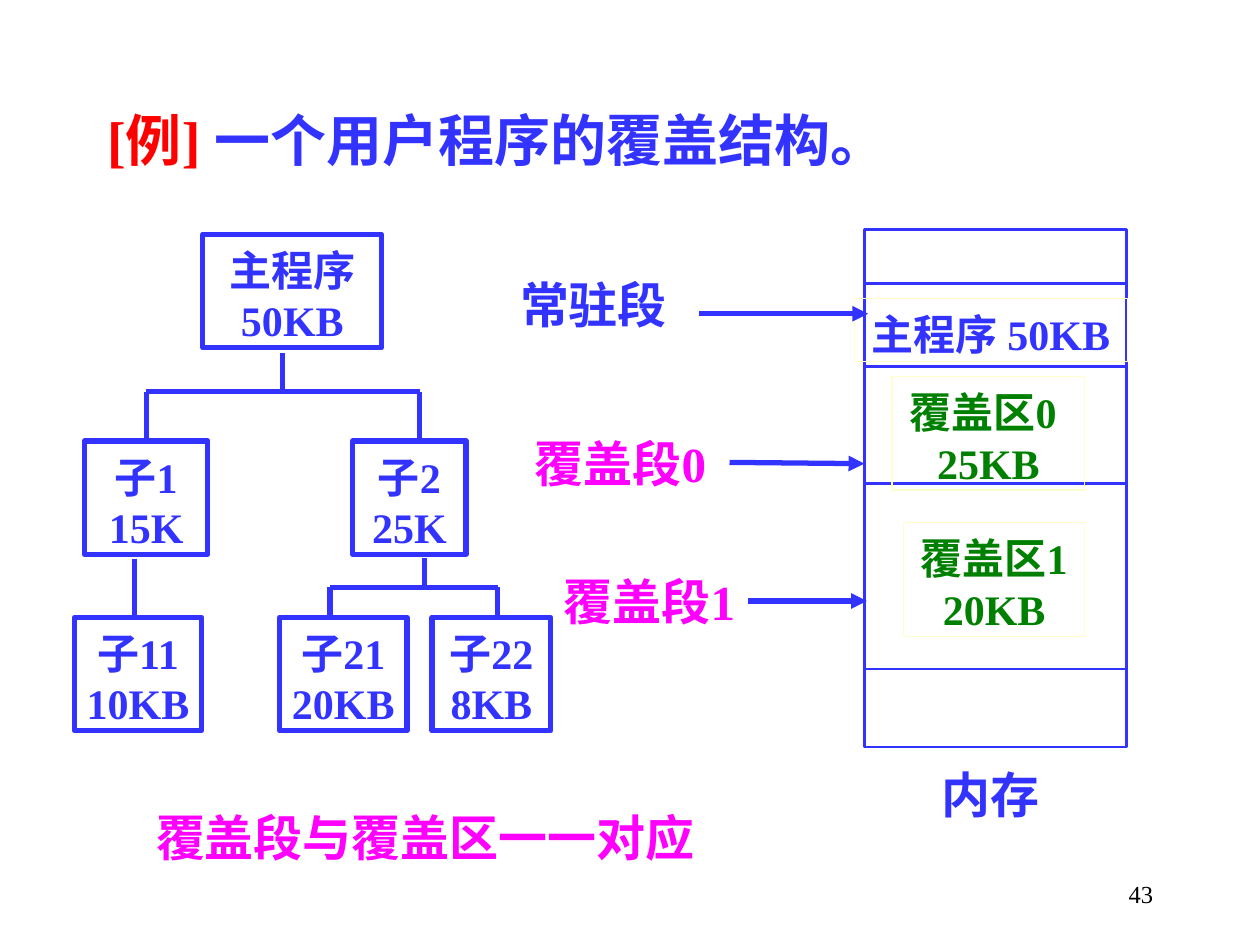
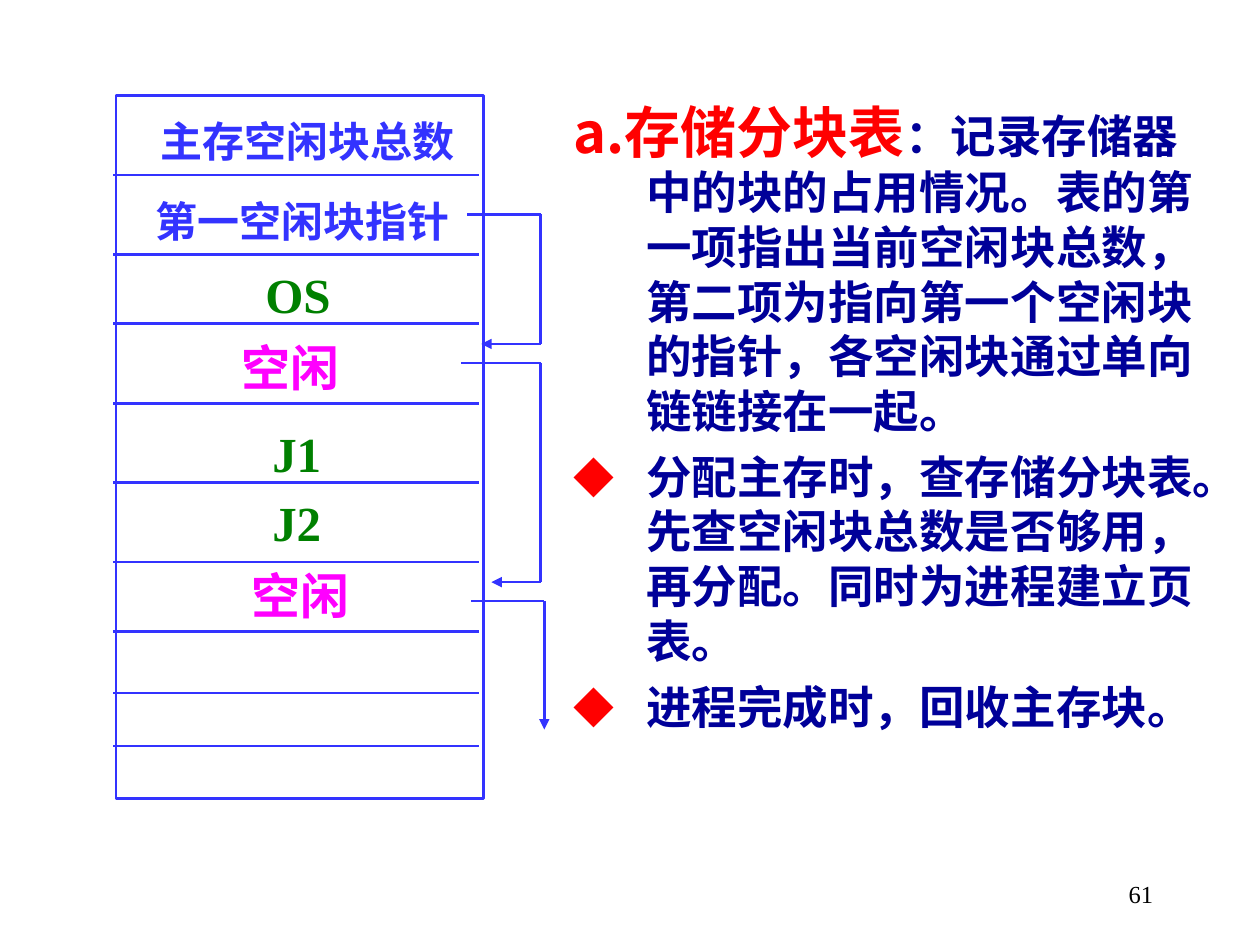
import pptx
import pptx.util
import pptx.dml.color
import pptx.enum.shapes
import pptx.enum.text
import pptx.oxml.ns
from lxml import etree

Inches, Pt = pptx.util.Inches, pptx.util.Pt
ALIGN, ANCHOR = pptx.enum.text.PP_ALIGN, pptx.enum.text.MSO_ANCHOR
qn = pptx.oxml.ns.qn

COLORS = {"blue": "3333FF", "navy": "000099", "red": "FF0000", "green": "008000",
          "pink": "FF00FF", "cream": "FFFFCC", "white": "FFFFFF", "black": "000000"}
LATIN, CHINESE = "Times New Roman", "Noto Sans CJK SC"
LINE_HEIGHT = 1.2  # share of the text size

# Overlay slide: lengths are in inches
TITLE = [("[例] ", "red"), ("一个用户程序的覆盖结构。", "blue")]
MODULE_HEIGHT = 0.9
MODULES = [  # text, left, top, width
    ("主程序\n50KB", 1.61, 1.86, 1.42),
    ("子1\n15K", 0.67, 3.5, 0.98),
    ("子2\n25K", 2.8, 3.5, 0.9),
    ("子11\n10KB", 0.59, 4.9, 1.01),
    ("子21\n20KB", 2.22, 4.9, 1.01),
    ("子22\n8KB", 3.43, 4.9, 0.94),
]
BRANCHES = [  # trunk x, trunk top, bus y, child xs, child top
    (2.24, 2.8, 3.11, (1.16, 3.33), 3.5),
    (3.37, 4.43, 4.66, (2.62, 3.95), 4.9),
]
SINGLE_CHILD = (1.07, 4.44, 1.07, 4.9)
MEMORY = (6.86, 1.82, 2.08, 4.11)
MEMORY_DIVIDERS = (2.25, 2.91, 3.84, 5.31)
REGIONS = [  # text, colour, left, top, width, height
    ("主程序 50KB", "blue", 6.78, 2.37, 2.17, 0.5),
    ("覆盖区0 \n25KB", "green", 7.08, 2.99, 1.53, 0.9),
    ("覆盖区1\n20KB", "green", 7.17, 4.15, 1.44, 0.9),
]
OVERLAY_LABELS = [  # text, colour, left, top, width
    ("常驻段", "blue", 3.98, 2.1, 1.46),
    ("覆盖段0", "pink", 4.1, 3.36, 1.65),
    ("覆盖段1", "pink", 4.33, 4.46, 1.65),
    (" 内存", "blue", 7.16, 5.99, 1.31),
]
SEGMENT_ARROWS = [(5.55, 2.49, 6.89, 2.49), (5.79, 3.67, 6.86, 3.68),
                  (5.94, 4.77, 6.88, 4.77)]
CONCLUSION = "覆盖段与覆盖区一一对应"

# Block table slide
BLOCK_TABLE = (0.92, 0.76, 2.92, 5.58)
BLOCK_DIVIDERS = (1.39, 2.02, 2.57, 3.2, 3.83, 4.46, 5.01, 5.5, 5.92)
HEADER_CELLS = [("主存空闲块总数", 0.84, 2.6), ("第一空闲块指针", 1.47, 2.52)]
BLOCK_LABELS = [  # text, colour, left, top, width
    ("OS", "green", 1.38, 2.02, 1.97),
    ("空闲", "pink", 1.22, 2.6, 2.17),
    ("J1", "green", 1.53, 3.28, 1.65),
    ("J2", "green", 1.53, 3.83, 1.65),
    ("空闲", "pink", 1.3, 4.41, 2.17),
]
POINTER_CHAINS = [  # corner points, arrowhead on the last part
    [(3.71, 1.7), (4.29, 1.7), (4.29, 2.73), (3.82, 2.73)],
    [(3.66, 2.88), (4.29, 2.88), (4.29, 4.62), (3.9, 4.62)],
    [(3.74, 4.77), (4.32, 4.77), (4.32, 5.79)],
]
EXPLANATION = [  # bulleted, runs of text, colour, size
    (False, [("a.存储分块表", "red", 32),
             ("：记录存储器中的块的占用情况。表的第一项指出当前空闲块总数，"
              "第二项为指向第一个空闲块的指针，各空闲块通过单向链链接在一起。", "navy", 26)]),
    (True, [("分配主存时，查存储分块表。先查空闲块总数是否够用，再分配。"
             "同时为进程建立页表。", "navy", 26)]),
    (True, [("进程完成时，回收主存块。", "navy", 26)]),
]


def rgb(name):
    return pptx.dml.color.RGBColor.from_string(COLORS[name])


def style_span(span, size, color, bold=True, latin=LATIN):
    span.font.size, span.font.bold, span.font.name = Pt(size), bold, latin
    span.font.color.rgb = rgb(color)
    etree.SubElement(span.font._element, qn("a:ea"), typeface=CHINESE)


def prepare_frame(shape, wrap, anchor=ANCHOR.TOP, top_inset=0.08):
    frame = shape.text_frame
    frame.auto_size = pptx.enum.text.MSO_AUTO_SIZE.NONE
    frame.word_wrap, frame.vertical_anchor = wrap, anchor
    frame.margin_left = frame.margin_right = Inches(0.1)
    frame.margin_top, frame.margin_bottom = Inches(top_inset), Inches(0.05)
    return frame


def place(shape, left, top, width, height):
    shape.left, shape.top = Inches(left), Inches(top)
    shape.width, shape.height = Inches(width), Inches(height)


def write(shape, text, size, color, align=ALIGN.CENTER, wrap=False,
          bold=True, anchor=ANCHOR.TOP):
    frame = prepare_frame(shape, wrap, anchor)
    frame.text = text
    for para in frame.paragraphs:
        para.alignment = align
        para.line_spacing = Pt(size * LINE_HEIGHT)
        for span in para.runs:
            style_span(span, size, color, bold)


def add_label(page, text, color, left, top, width, height=0.57, size=28, **look):
    box = page.shapes.add_textbox(*map(Inches, (left, top, width, height)))
    write(box, text, size, color, **look)


def add_box(page, left, top, width, height, line="blue", weight=1.5, fill=None):
    box = page.shapes.add_shape(pptx.enum.shapes.MSO_SHAPE.RECTANGLE,
                                *map(Inches, (left, top, width, height)))
    box.shadow.inherit = False
    if fill:
        box.fill.solid()
        box.fill.fore_color.rgb = rgb(fill)
    else:
        box.fill.background()
    box.line.color.rgb, box.line.width = rgb(line), Pt(weight)
    return box


def add_line(page, x1, y1, x2, y2, weight=1.5, arrow=False):
    line = page.shapes.add_connector(pptx.enum.shapes.MSO_CONNECTOR.STRAIGHT,
                                     *map(Inches, (x1, y1, x2, y2)))
    line.line.color.rgb, line.line.width = rgb("blue"), Pt(weight)
    if arrow:
        etree.SubElement(line.line._get_or_add_ln(), qn("a:tailEnd"), type="triangle")
    etree.SubElement(line._element.spPr, qn("a:effectLst"))
    return line


def add_page_number(page, number):
    add_label(page, number, "black", 7.17, 6.83, 2.08, 0.5, 14,
              align=ALIGN.RIGHT, bold=False, anchor=ANCHOR.MIDDLE, wrap=True)


def set_bullet(para, bulleted):
    props = para._p.get_or_add_pPr()
    props.set("marL", str(Inches(0.58)))
    props.set("indent", str(-Inches(0.58)))
    if not bulleted:
        etree.SubElement(props, qn("a:buNone"))
        return
    color = etree.SubElement(props, qn("a:buClr"))
    etree.SubElement(color, qn("a:srgbClr"), val=COLORS["red"])
    etree.SubElement(props, qn("a:buSzPct"), val="90000")
    etree.SubElement(props, qn("a:buFont"), typeface=CHINESE)
    etree.SubElement(props, qn("a:buChar"), char="◆")


def build_overlay_page(deck):
    page = deck.slides.add_slide(deck.slide_layouts[5])
    # Title
    place(page.shapes.title, 0.75, 0.76, 8.83, 0.64)
    para = prepare_frame(page.shapes.title, True).paragraphs[0]
    para.alignment, para.line_spacing = ALIGN.LEFT, Pt(32 * LINE_HEIGHT)
    for text, color in TITLE:
        span = para.add_run()
        span.text = text
        style_span(span, 32, color)
    # Module tree
    boxes = []
    for text, left, top, width in MODULES:
        box = add_box(page, left, top, width, MODULE_HEIGHT, weight=3)
        write(box, text, 24, "blue")
        boxes.append(box)
    for trunk, trunk_top, bus, children, child_top in BRANCHES:
        add_line(page, children[0], bus, children[-1], bus, 3)
        add_line(page, trunk, trunk_top, trunk, bus, 3)
        for x in children:
            drop = add_line(page, x, bus, x, child_top, 3)
            for box in boxes:
                off_centre = abs(box.left + box.width / 2 - Inches(x))
                if box.top == Inches(child_top) and off_centre < Inches(0.01):
                    drop.end_connect(box, 0)
    add_line(page, *SINGLE_CHILD, 3)
    # Memory column
    add_box(page, *MEMORY, fill="white")
    for y in MEMORY_DIVIDERS:
        add_line(page, MEMORY[0], y, MEMORY[0] + MEMORY[2], y)
    for text, color, *area in REGIONS:
        write(add_box(page, *area, line="cream", weight=0.75), text, 24, color)
    # Labels and arrows
    for label in OVERLAY_LABELS:
        add_label(page, *label)
    for ends in SEGMENT_ARROWS:
        add_line(page, *ends, 3, arrow=True)
    add_label(page, CONCLUSION, "pink", 1.14, 6.33, 5.36, align=ALIGN.LEFT, wrap=True)
    add_page_number(page, "43")


def build_block_table_page(deck):
    page = deck.slides.add_slide(deck.slide_layouts[1])
    title = page.shapes.title._element
    title.getparent().remove(title)
    # Explanation
    body = page.placeholders[1]
    place(body, 4.45, 0.82, 5.17, 5.53)
    frame = prepare_frame(body, True, top_inset=0.05)
    for index, (bulleted, spans) in enumerate(EXPLANATION):
        para = frame.add_paragraph() if index else frame.paragraphs[0]
        para.space_before = Pt(6.5 if index else 0)
        para.line_spacing = Pt(26 * LINE_HEIGHT)
        set_bullet(para, bulleted)
        for text, color, size in spans:
            span = para.add_run()
            span.text = text
            style_span(span, size, color, latin=CHINESE)
    # Block table
    add_box(page, *BLOCK_TABLE, fill="white")
    for y in BLOCK_DIVIDERS:
        add_line(page, 0.9, y, 3.8, y)
    for text, top, width in HEADER_CELLS:
        cell = add_box(page, 1.14, top, width, 0.5, line="white", weight=0.75)
        write(cell, text, 24, "blue")
    for label in BLOCK_LABELS:
        add_label(page, *label)
    # Pointers from block to block
    for points in POINTER_CHAINS:
        for index, (start, end) in enumerate(zip(points, points[1:])):
            add_line(page, *start, *end, arrow=index == len(points) - 2)
    add_page_number(page, "61")


def main():
    deck = pptx.Presentation()
    deck.slide_width, deck.slide_height = Inches(10), Inches(7.5)
    build_overlay_page(deck)
    build_block_table_page(deck)
    deck.save("out.pptx")


if __name__ == "__main__":
    main()
